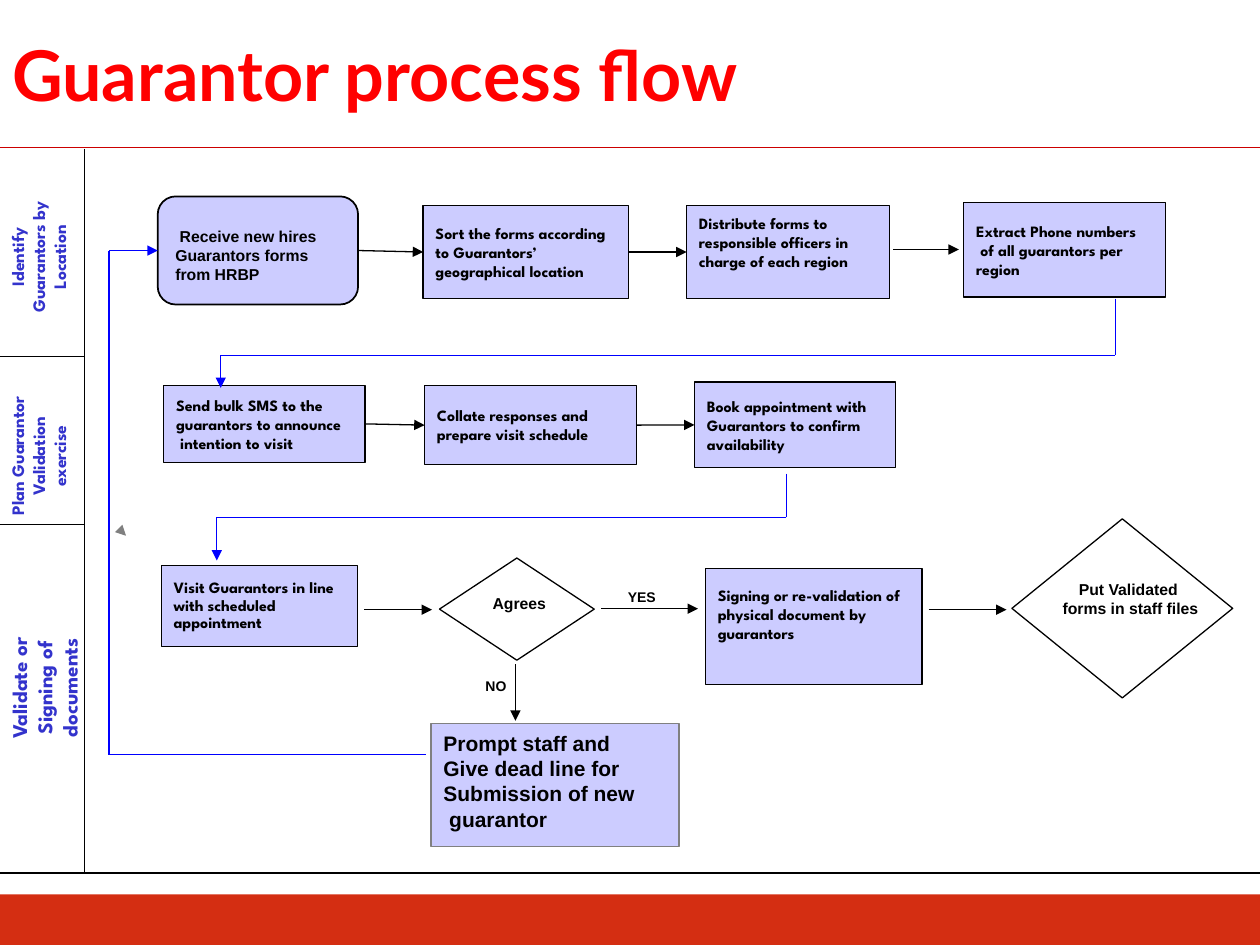
from pptx import Presentation
from pptx.dml.color import RGBColor
from pptx.enum.shapes import MSO_CONNECTOR, MSO_SHAPE
from pptx.enum.text import MSO_ANCHOR, PP_ALIGN
from pptx.oxml.ns import qn
from pptx.util import Cm, Pt
from lxml.etree import SubElement

COLORS = {"red": "FF0000", "bar": "D42E12", "rule": "CC0000", "step": "CCCCFF",
          "lane": "3333CC", "black": "000000", "blue": "0000FF",
          "grey": "808080", "white": "FFFFFF"}
SPARTAN, ARIAL = "League Spartan", "Arial"
WIDTH, HEIGHT = 25.4, 19.05
LANE_EDGE = 1.7
SIDE_INSET, END_INSET = 0.25, 0.13

# Lanes: text, centre x, centre y, length, thickness, font size
LANES = [
    ("Identify Guarantors by Location", 0.77, 5.18, 3.18, 1.52, 10),
    ("Plan Guarantor Validation exercise", 0.77, 9.19, 3.18, 1.52, 10),
    ("Validate or Signing of documents", 0.89, 13.87, 4.01, 1.78, 12),
]

# Steps: name -> lines, (left, top, width, height), extra options
STEPS = {
    "receive": ([" Receive new hires Guarantors forms from HRBP"], (3.18, 3.96, 4.04, 2.18),
                dict(shape=MSO_SHAPE.ROUNDED_RECTANGLE, font=ARIAL, wrap=True,
                     border=1, top=0.2)),
    "sort": (["Sort the forms according", "to Guarantors’", "geographical location"],
             (8.53, 4.14, 4.14, 1.88), {}),
    "distribute": (["Distribute forms to", "responsible officers in", "charge of each region"],
                   (13.84, 4.14, 4.09, 1.88), dict(bottom=0.38)),
    "extract": (["Extract Phone numbers", " of all guarantors per", "region"],
                (19.43, 4.09, 4.06, 1.9), {}),
    "send": (["Send bulk SMS to the", "guarantors to announce", " intention to visit"],
             (3.3, 7.77, 4.06, 1.55), {}),
    "collate": (["Collate responses and", "prepare visit schedule"],
                (8.56, 7.77, 4.27, 1.6), {}),
    "book": (["Book appointment with", "Guarantors to confirm", "availability"],
             (14, 7.7, 4.06, 1.73), {}),
    "visit": (["Visit Guarantors in line", "with scheduled", "appointment"],
              (3.25, 11.4, 3.96, 1.63), dict(spacing=0.9)),
    "agrees": (["Agrees"], (8.86, 11.25, 3.12, 2.06),
               dict(shape=MSO_SHAPE.FLOWCHART_DECISION, font=ARIAL, fill=None,
                    align=PP_ALIGN.CENTER, left=0.1, bottom=0.24)),
    "sign": (["Signing or re-validation of", "physical document by", "guarantors"],
             (14.22, 11.46, 4.37, 2.34), dict(bottom=0.5)),
    "file": (["Put Validated", " forms in staff files"], (20.4, 10.46, 4.45, 3.61),
             dict(shape=MSO_SHAPE.FLOWCHART_DECISION, font=ARIAL, fill="white",
                  align=PP_ALIGN.CENTER, left=0.24, bottom=0.4)),
    "prompt": (["Prompt staff and", "Give dead line for", "Submission of new", " guarantor"],
               (8.69, 14.58, 5, 2.49),
               dict(font=ARIAL, size=12, line="grey", bottom=0.16)),
}
ANSWERS = [("YES", (12.62, 11.94, 0.64, 0.2)), ("NO", (9.68, 13.72, 0.64, 0.2))]

# Arrows that join neighbouring steps, side to side
JOINS = [("receive", "sort"), ("sort", "distribute"), ("send", "collate"), ("collate", "book")]

# Lines through points: colour, ends with arrowhead, points
ROUTES = [
    ("black", True, [(18.01, 5.03), (19.33, 5.03)]),
    ("black", True, [(7.34, 12.29), (8.71, 12.29)]),
    ("black", True, [(12.12, 12.27), (14.07, 12.27)]),
    ("black", True, [(18.72, 12.29), (20.29, 12.29)]),
    ("black", True, [(10.39, 13.39), (10.39, 14.53)]),
    ("blue", True, [(22.48, 6.02), (22.48, 7.16), (4.45, 7.16), (4.45, 7.82)]),
    ("blue", True, [(15.85, 9.55), (15.85, 10.43), (4.37, 10.43), (4.37, 11.3)]),
    ("grey", True, [(2.53, 10.79), (2.54, 10.8)]),
    ("rule", False, [(0, 2.97), (WIDTH, 2.97)]),
    ("black", False, [(0, 17.6), (WIDTH, 17.6)]),
    ("black", False, [(LANE_EDGE, 3), (LANE_EDGE, 17.58)]),
    ("black", False, [(0, 7.19), (LANE_EDGE, 7.19)]),
    ("black", False, [(0, 10.58), (LANE_EDGE, 10.58)]),
]
FEEDBACK = [(8.58, 15.21), (2.2, 15.21), (2.2, 5.05), (3.18, 5.05)]


def color(name):
    return RGBColor.from_string(COLORS[name])


def write(shape, lines, font, size, ink="black", align=PP_ALIGN.LEFT, spacing=None):
    frame = shape.text_frame
    frame.text = "\n".join(lines)
    for para in frame.paragraphs:
        para.alignment = align
        para.line_spacing = spacing
        for span in para.runs:
            span.font.name, span.font.size, span.font.bold = font, Pt(size), True
            span.font.color.rgb = color(ink)


def add_box(page, lines, place, shape=MSO_SHAPE.RECTANGLE, fill="step", line="black",
            border=0.75, font=SPARTAN, size=9, align=PP_ALIGN.LEFT, spacing=None,
            wrap=False, left=0, top=0, bottom=0):
    box = page.shapes.add_shape(shape, *map(Cm, place))
    box.shadow.inherit = False
    if fill:
        box.fill.solid()
        box.fill.fore_color.rgb = color(fill)
    else:
        box.fill.background()
    if line:
        box.line.color.rgb = color(line)
        box.line.width = Pt(border)
    else:
        box.line.fill.background()
    frame = box.text_frame
    frame.word_wrap = wrap
    frame.vertical_anchor = MSO_ANCHOR.MIDDLE
    frame.margin_left = Cm(SIDE_INSET + left)
    frame.margin_top = Cm(END_INSET + top)
    frame.margin_bottom = Cm(END_INSET + bottom)
    if lines:
        write(box, lines, font, size, align=align, spacing=spacing)
    return box


def add_label(page, text, place, font, size, ink, align=PP_ALIGN.LEFT):
    label = page.shapes.add_textbox(*map(Cm, place))
    label.text_frame.word_wrap = True
    write(label, [text], font, size, ink, align)
    return label


def add_line(page, start, end, ink, arrow):
    link = page.shapes.add_connector(MSO_CONNECTOR.STRAIGHT, *map(Cm, start + end))
    link.line.color.rgb = color(ink)
    link.line.width = Pt(0.75)
    if arrow:
        SubElement(link.line._get_or_add_ln(), qn("a:tailEnd"), type="triangle")
    SubElement(link._element.spPr, qn("a:effectLst"))
    return link


def add_route(page, ink, arrow, points):
    last = len(points) - 2
    return [add_line(page, start, end, ink, arrow and index == last)
            for index, (start, end) in enumerate(zip(points, points[1:]))]


def main():
    deck = Presentation()
    deck.slide_width, deck.slide_height = Cm(WIDTH), Cm(HEIGHT)
    page = deck.slides.add_slide(deck.slide_layouts[6])

    # Footer bar and title
    add_box(page, [], (0, 18.03, WIDTH, 1.02), fill="bar", line=None)
    add_label(page, "Guarantor process flow", (0, 0.51, 23.75, 1.96), "Lato", 40, "red")

    # Lane names, reading upwards
    for text, x, y, length, depth, size in LANES:
        place = (x - length / 2, y - depth / 2, length, depth)
        label = add_label(page, text, place, SPARTAN, size, "lane", PP_ALIGN.CENTER)
        label.rotation = 270

    # Steps and decision answers
    boxes = {name: add_box(page, lines, place, **options)
             for name, (lines, place, options) in STEPS.items()}
    for text, place in ANSWERS:
        add_box(page, [text], place, fill="white", line=None, font=ARIAL, size=8,
                align=PP_ALIGN.CENTER)

    # Joined arrows, free lines and the way back to the start
    for source, target in JOINS:
        link = add_line(page, (0, 0), (1, 1), "black", True)
        link.begin_connect(boxes[source], 3)
        link.end_connect(boxes[target], 1)
    for route in ROUTES:
        add_route(page, *route)
    add_route(page, "blue", True, FEEDBACK)[-1].end_connect(boxes["receive"], 1)

    deck.save("out.pptx")


if __name__ == "__main__":
    main()
